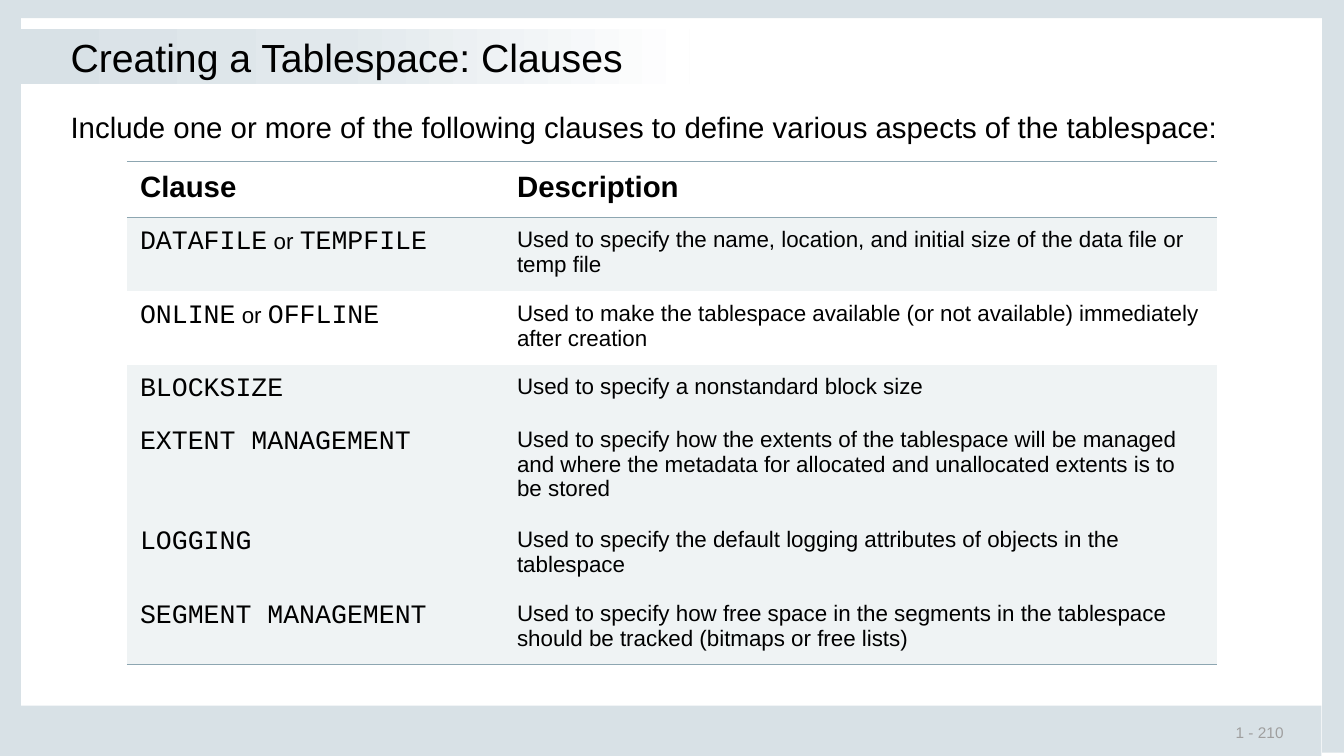
import copy

import pptx
import pptx.dml.color
import pptx.enum.dml
import pptx.enum.shapes
import pptx.enum.text
import pptx.oxml
import pptx.oxml.ns
import pptx.util
from pptx.util import Cm

COLORS = {
    "frame": "D8E1E6",
    "gradient_middle": "E1E8EC",
    "white": "FFFFFF",
    "text": "000000",
    "number": "9F9F9F",
    "rule": "8DA6B1",
    "row": "EFF3F4",
}
HEADING = {"name": "Arial", "size": 21, "bold": True}
BODY = {"name": "Arial", "size": 16}
CODE = {"name": "Courier New", "size": 19}

# Clause keywords (alternatives are joined by "or"), description, row height
CLAUSES = [
    (["DATAFILE", "TEMPFILE"],
     "Used to specify the name, location, and initial size of the data file or temp file", 1.85),
    (["ONLINE", "OFFLINE"],
     "Used to make the tablespace available (or not available) immediately after creation", 1.85),
    (["BLOCKSIZE"], "Used to specify a nonstandard block size", 1.32),
    (["EXTENT MANAGEMENT"],
     "Used to specify how the extents of the tablespace will be managed and where the "
     "metadata for allocated and unallocated extents is to be stored", 2.52),
    (["LOGGING"],
     "Used to specify the default logging attributes of objects in the tablespace", 1.85),
    (["SEGMENT MANAGEMENT"],
     "Used to specify how free space in the segments in the tablespace should be tracked "
     "(bitmaps or free lists)", 1.85),
]
UNSHADED_ROWS = (0, 2)
HEADER_HEIGHT = 1.42


def rgb(color):
    return pptx.dml.color.RGBColor.from_string(COLORS[color])


class SlideBuilder:
    def __init__(self, presentation):
        self.slide = presentation.slides.add_slide(presentation.slide_layouts[6])

    def add_runs(self, paragraph, runs, color="text"):
        for text, style in runs:
            run = paragraph.add_run()
            run.text = text
            for attribute, value in style.items():
                setattr(run.font, attribute, pptx.util.Pt(value) if attribute == "size" else value)
            run.font.color.rgb = rgb(color)

    def rectangle(self, box, color):
        shape = self.slide.shapes.add_shape(
            pptx.enum.shapes.MSO_SHAPE.RECTANGLE, *map(Cm, box))
        shape.shadow.inherit = False
        shape.line.fill.background()
        shape.fill.solid()
        shape.fill.fore_color.rgb = rgb(color)
        return shape

    def gradient(self, box, stops):
        fill = self.rectangle(box, stops[0][1]).fill
        fill.gradient()
        fill.gradient_angle = 0
        first_stop = fill.gradient_stops[0]
        stop_list = first_stop._gs.getparent()
        stop_list.insert(1, copy.deepcopy(first_stop._gs))
        for stop, (position, color) in zip(fill.gradient_stops, stops):
            stop.position = position
            stop.color.rgb = rgb(color)

    def text(self, box, text, style, color="text", inset=0.05, **frame_format):
        frame = self.slide.shapes.add_textbox(*map(Cm, box)).text_frame
        settings = {"word_wrap": True, "vertical_anchor": pptx.enum.text.MSO_ANCHOR.TOP}
        for side in ("left", "top", "right", "bottom"):
            settings["margin_" + side] = Cm(inset)
        for attribute, value in {**settings, **frame_format}.items():
            setattr(frame, attribute, value)
        self.add_runs(frame.paragraphs[0], [(text, style)], color)

    def border(self, cell, side, color=None):
        """Draw one cell edge; without a color the edge is hidden."""
        properties = cell._tc.get_or_add_tcPr()
        line = pptx.oxml.parse_xml(
            f'<a:{side} {pptx.oxml.ns.nsdecls("a")} w="12700">'
            + (f'<a:solidFill><a:srgbClr val="{COLORS[color]}"/></a:solidFill>'
               if color else "<a:noFill/>")
            + f"</a:{side}>")
        properties.append(line)

    def table(self, left, top, widths, heights, rows, shaded, ruled):
        shape = self.slide.shapes.add_table(
            len(rows), len(widths), Cm(left), Cm(top), Cm(sum(widths)), Cm(sum(heights)))
        table = shape.table
        table.first_row = table.horz_banding = False
        for column, width in zip(table.columns, widths):
            column.width = Cm(width)
        for row_index, row in enumerate(rows):
            table.rows[row_index].height = Cm(heights[row_index])
            for column_index, runs in enumerate(row):
                cell = table.cell(row_index, column_index)
                cell.margin_left = cell.margin_right = Cm(0.33)
                cell.margin_top = cell.margin_bottom = Cm(0.25)
                # Edges come before the fill in the cell properties
                edges = {"lnL": False, "lnR": False,
                         "lnT": row_index in ruled, "lnB": row_index + 1 in ruled}
                for side, visible in edges.items():
                    self.border(cell, side, "rule" if visible else None)
                if row_index in shaded:
                    cell.fill.solid()
                    cell.fill.fore_color.rgb = rgb("row")
                else:
                    cell.fill.background()
                self.add_runs(cell.text_frame.paragraphs[0], runs)


def clause_runs(keywords):
    runs = [(keywords[0], CODE)]
    for keyword in keywords[1:]:
        runs += [(" or ", BODY), (keyword, CODE)]
    return runs


def main():
    presentation = pptx.Presentation()
    presentation.slide_width = Cm(33.87)
    presentation.slide_height = Cm(19.05)
    builder = SlideBuilder(presentation)

    # Frame: right, left, bottom, top
    for band in [(33.32, 0, 0.55, 18.97), (0, 0, 0.53, 18.95),
                 (0, 17.78, 33.3, 1.27), (0, 0, 33.87, 0.46)]:
        builder.rectangle(band, "frame")

    # Slide number
    builder.text((30.81, 18.21, 3, 0.51), "1 - 210", {"name": "Arial", "size": 11}, "number",
                 inset=0.33, word_wrap=False,
                 vertical_anchor=pptx.enum.text.MSO_ANCHOR.MIDDLE)

    # Title and introduction
    builder.gradient((0.51, 0.74, 16.87, 1.37),
                     [(0, "frame"), (0.47, "gradient_middle"), (1, "white")])
    builder.text((1.73, 0.8, 30.4, 2.44), "Creating a Tablespace: Clauses",
                 {"name": "Arial", "size": 28})
    builder.text((1.73, 2.71, 30.4, 0.99),
                 "Include one or more of the following clauses to define various aspects "
                 "of the tablespace:", {"name": "Arial", "size": 21})

    # Clause table
    rows = [[[("Clause", HEADING)], [("Description", HEADING)]]]
    rows += [[clause_runs(keywords), [(description, BODY)]]
             for keywords, description, _ in CLAUSES]
    builder.table(3.2, 4.06, [9.5, 17.96],
                  [HEADER_HEIGHT] + [height for _, _, height in CLAUSES], rows,
                  shaded=set(range(len(rows))) - set(UNSHADED_ROWS),
                  ruled=(0, 1, len(rows)))

    presentation.save("out.pptx")


if __name__ == "__main__":
    main()
